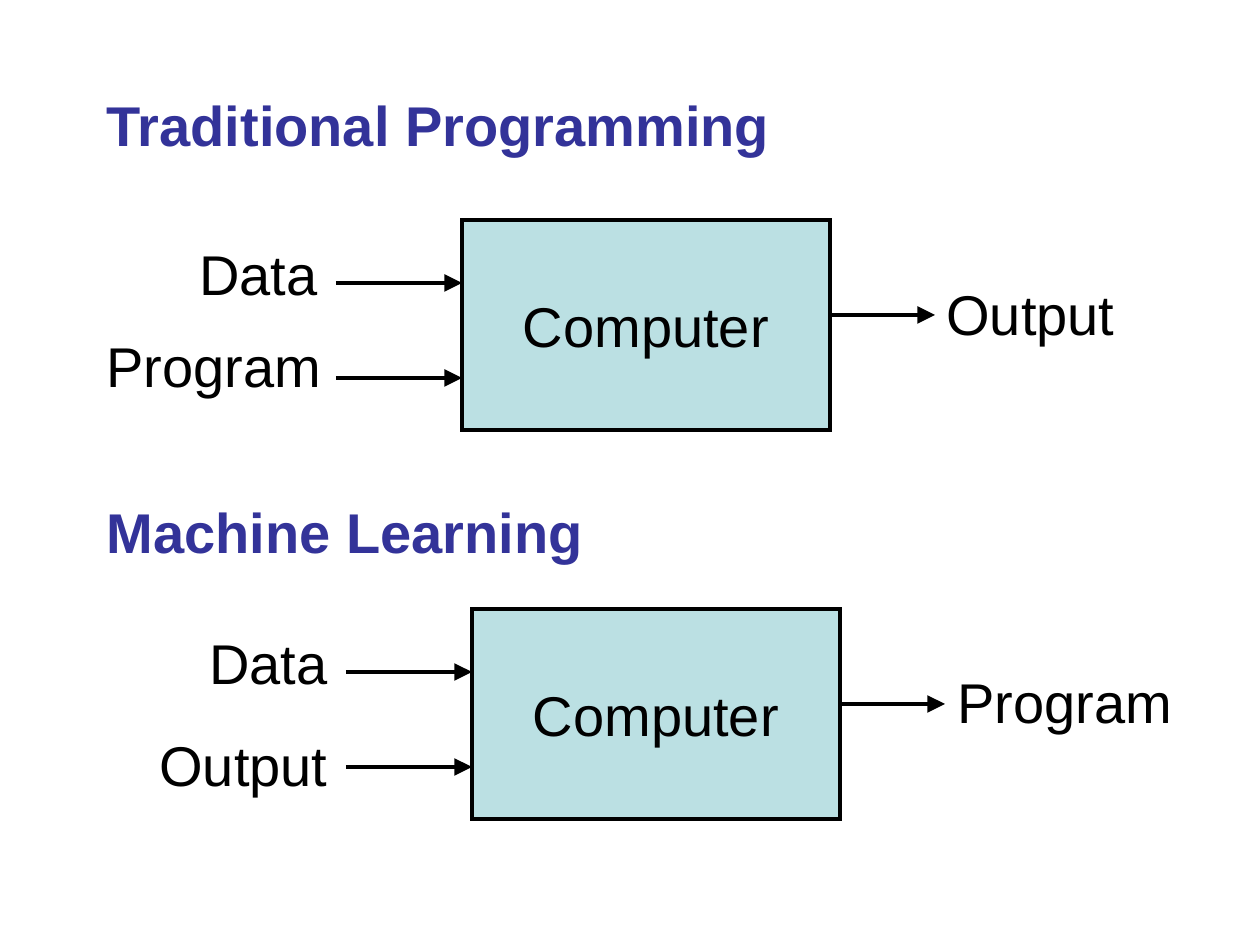
from lxml import etree
from pptx import Presentation
from pptx import util as u
from pptx.dml.color import RGBColor
from pptx.enum import shapes, text
from pptx.oxml.ns import qn

PX = 914400 // 126
BLACK = RGBColor(0x00, 0x00, 0x00)
HEADING_BLUE = RGBColor(0x33, 0x33, 0x99)
BOX_BLUE = RGBColor(0xBB, 0xE0, 0xE3)

# Heading, space before it in points
HEADINGS = [("Traditional Programming", 3), ("Machine Learning", 194)]
BODY = (63, 84, 1144, 714)
HEADING_INDENT = 31

# Computer box corner, then labels as (text, left, top)
FLOWS = [
    {"box": (462, 220),
     "labels": [("Data", 187, 233), ("Program", 94, 325), ("Output", 934, 273)]},
    {"box": (472, 609),
     "labels": [("Data", 197, 622), ("Output", 147, 724), ("Program", 945, 661)]},
]
BOX_W, BOX_H = 368, 210
LABEL_WIDTHS = {"Data": 145, "Program": 243, "Output": 197}
LABEL_H = 81
# Arrows relative to the box corner: start x, end x, y
ARROWS = [(-126, 0, 63), (-126, 0, 158), (BOX_W, BOX_W + 105, 95)]


def px(*lengths):
    return [u.Emu(length * PX) for length in lengths]


def style(paragraph, color, bold=False):
    for run in paragraph.runs:
        run.font.name = "Arial"
        run.font.size = u.Pt(32)
        run.font.bold = bold
        run.font.color.rgb = color


def draw_outline(line):
    """Give a line its colour, width and sharp corners; return its XML."""
    line.color.rgb = BLACK
    line.width = u.Pt(2)
    outline = line._get_or_add_ln()
    etree.SubElement(outline, qn("a:miter"), lim="800000")
    return outline


def add_headings(slide):
    slide.shapes.title.element.getparent().remove(slide.shapes.title.element)
    body = slide.placeholders[1]
    body.left, body.top, body.width, body.height = px(*BODY)
    frame = body.text_frame
    frame.auto_size = text.MSO_AUTO_SIZE.NONE
    frame.text = "\n".join(heading for heading, _ in HEADINGS)
    for paragraph, (_, space) in zip(frame.paragraphs, HEADINGS):
        paragraph.space_before = u.Pt(space)
        properties = paragraph._p.get_or_add_pPr()
        properties.set("marL", str(HEADING_INDENT * PX))
        properties.set("indent", "0")
        etree.SubElement(properties, qn("a:buNone"))
        style(paragraph, HEADING_BLUE, bold=True)


def add_computer(slide, left, top):
    computer = slide.shapes.add_shape(
        shapes.MSO_SHAPE.RECTANGLE, *px(left, top, BOX_W, BOX_H))
    computer.shadow.inherit = False
    computer.fill.solid()
    computer.fill.fore_color.rgb = BOX_BLUE
    draw_outline(computer.line)
    frame = computer.text_frame
    frame.text = "Computer"
    frame.word_wrap = False
    frame.vertical_anchor = text.MSO_ANCHOR.MIDDLE
    frame.paragraphs[0].alignment = text.PP_ALIGN.CENTER
    style(frame.paragraphs[0], BLACK)


def add_arrow(slide, start, end, y):
    arrow = slide.shapes.add_connector(
        shapes.MSO_CONNECTOR.STRAIGHT, *px(start, y, end, y))
    etree.SubElement(draw_outline(arrow.line), qn("a:tailEnd"),
                     type="triangle", w="lg", len="lg")
    etree.SubElement(arrow._element.spPr, qn("a:effectLst"))


def add_label(slide, wording, left, top):
    label = slide.shapes.add_textbox(
        *px(left, top, LABEL_WIDTHS[wording], LABEL_H))
    frame = label.text_frame
    frame.text = wording
    frame.word_wrap = False
    frame.auto_size = text.MSO_AUTO_SIZE.SHAPE_TO_FIT_TEXT
    style(frame.paragraphs[0], BLACK)


def main():
    deck = Presentation()
    deck.slide_width, deck.slide_height = u.Inches(10), u.Inches(7.5)
    slide = deck.slides.add_slide(deck.slide_layouts[1])
    add_headings(slide)
    for flow in FLOWS:
        left, top = flow["box"]
        add_computer(slide, left, top)
        for start, end, y in ARROWS:
            add_arrow(slide, left + start, left + end, top + y)
        for label in flow["labels"]:
            add_label(slide, *label)
    deck.save("out.pptx")


if __name__ == "__main__":
    main()
